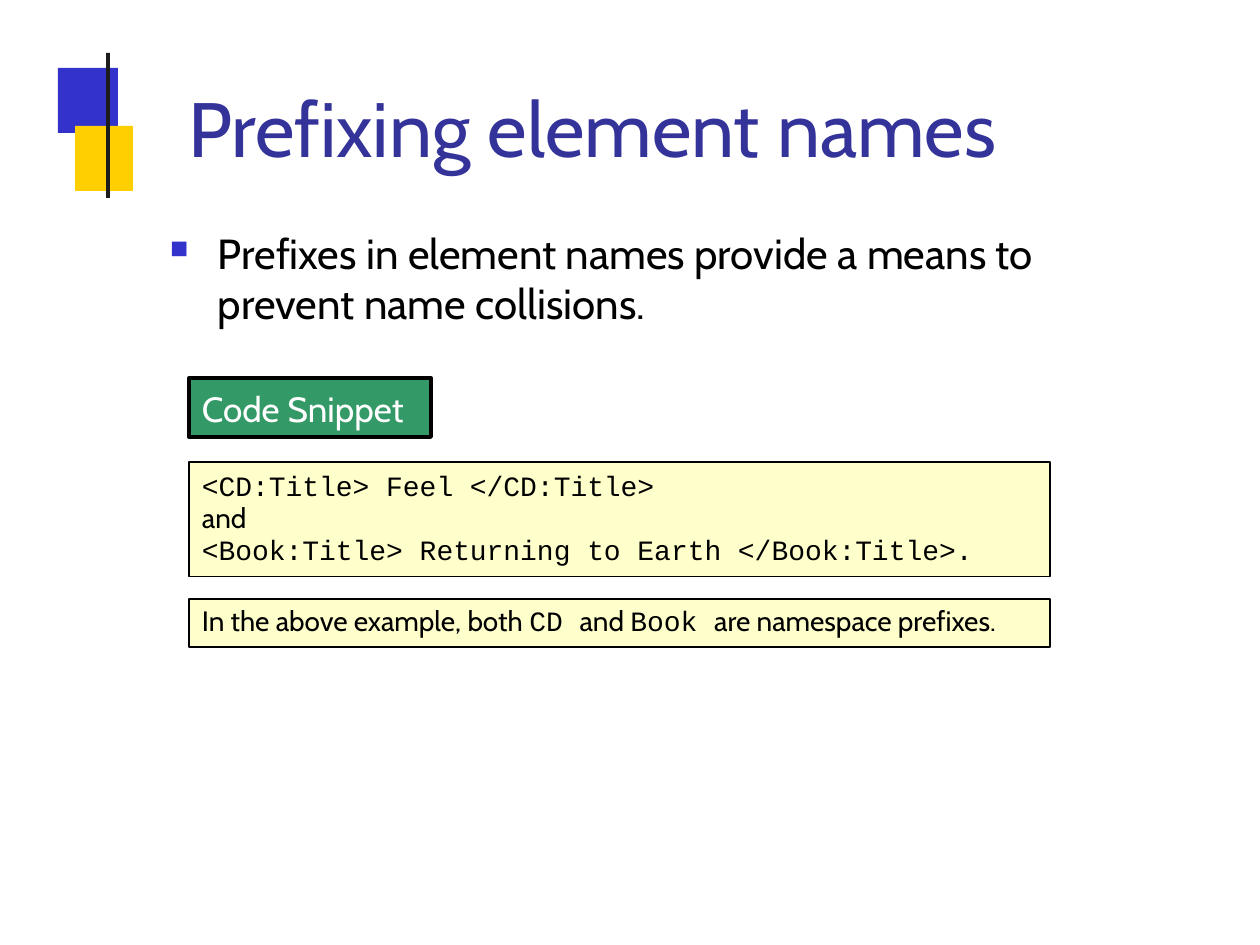
from lxml import etree
from pptx import Presentation
from pptx.dml.color import RGBColor
from pptx.enum.shapes import MSO_SHAPE
from pptx.enum.text import MSO_ANCHOR, MSO_AUTO_SIZE, PP_ALIGN
from pptx.oxml.ns import qn
from pptx.util import Emu, Pt

RECT = MSO_SHAPE.RECTANGLE
TOP = MSO_ANCHOR.TOP
FIXED = MSO_AUTO_SIZE.NONE
LEFT = PP_ALIGN.LEFT
SANS = "Cabin"
MONO = "Courier New"
BLUE = RGBColor(0x33, 0x33, 0xCC)
GOLD = RGBColor(0xFF, 0xCF, 0x01)
DARK = RGBColor(0x1C, 0x1C, 0x1C)
NAVY = RGBColor(0x33, 0x33, 0x99)
GREEN = RGBColor(0x33, 0x99, 0x66)
CREAM = RGBColor(0xFF, 0xFF, 0xCC)
BLACK = RGBColor(0, 0, 0)
WHITE = RGBColor(0xFF, 0xFF, 0xFF)


def px(count):
    return Emu(round(count * 914400 / 126))


def write(shape, paras, size=16, color=BLACK, pad=(0, 0), lead=None):
    frame = shape.text_frame
    frame.word_wrap = True
    frame.auto_size = FIXED
    frame.vertical_anchor = TOP
    frame.margin_left, frame.margin_top = px(pad[0]), px(pad[1])
    frame.margin_right = frame.margin_bottom = 0
    for index, parts in enumerate(paras):
        para = frame.paragraphs[0] if index == 0 else frame.add_paragraph()
        para.alignment = LEFT
        if lead and index:
            para.line_spacing = Pt(lead)
        for text, face in parts:
            run = para.add_run()
            run.text = text
            run.font.name = face
            run.font.size = Pt(size)
            run.font.color.rgb = color
    return frame


def block(slide, box, fill, line=None):
    shape = slide.shapes.add_shape(RECT, *map(px, box))
    shape.shadow.inherit = False
    shape.fill.solid()
    shape.fill.fore_color.rgb = fill
    if line:
        shape.line.color.rgb = BLACK
        shape.line.width = Pt(line)
    else:
        shape.line.fill.background()
    return shape


def add_mark(slide, left, top):
    block(slide, (left, top + 15, 60, 65), BLUE)
    block(slide, (left + 17, top + 73, 58, 65), GOLD)
    block(slide, (left + 48, top, 4, 145), DARK)


def add_title(slide, box):
    title = slide.shapes.title
    title.left, title.top, title.width, title.height = map(px, box)
    write(title, [[("Prefixing element names", SANS)]],
          size=44, color=NAVY, pad=(1, 3))


def add_point(slide, box):
    shape = slide.shapes.add_textbox(*map(px, box))
    text = "Prefixes in element names provide a means to prevent name collisions."
    frame = write(shape, [[(text, SANS)]], size=24, pad=(0, 2))
    props = frame.paragraphs[0]._p.get_or_add_pPr()
    props.set("marL", str(px(49)))
    props.set("indent", str(-px(48)))
    tint = etree.SubElement(props, qn("a:buClr"))
    etree.SubElement(tint, qn("a:srgbClr"), val=str(BLUE))
    etree.SubElement(props, qn("a:buSzPct"), val="60000")
    etree.SubElement(props, qn("a:buChar"), char="■")


def add_code(slide, left, top, width):
    label = block(slide, (left, top, 242, 59), GREEN, 2.28)
    write(label, [[("Code Snippet", SANS)]], size=20, color=WHITE, pad=(13, 9))
    code = block(slide, (left, top + 84, width, 115), CREAM, 0.72)
    write(code, [
        [("<CD:Title> Feel </CD:Title>", MONO)],
        [("and", SANS)],
        [("<Book:Title> Returning to Earth </Book:Title>.", MONO)],
    ], pad=(13, 7), lead=18.3)
    note = block(slide, (left, top + 221, width, 48), CREAM, 0.72)
    write(note, [[
        ("In the above example, both ", SANS),
        ("CD ", MONO),
        ("and ", SANS),
        ("Book ", MONO),
        ("are namespace prefixes.", SANS),
    ]], pad=(13, 5))


def main():
    deck = Presentation()
    deck.slide_width, deck.slide_height = px(1260), px(945)
    slide = deck.slides.add_slide(deck.slide_layouts[5])
    add_mark(slide, 58, 53)
    add_title(slide, (187, 78, 840, 96))
    add_point(slide, (169, 225, 908, 105))
    add_code(slide, 189, 378, 861)
    deck.save("out.pptx")


if __name__ == "__main__":
    main()
